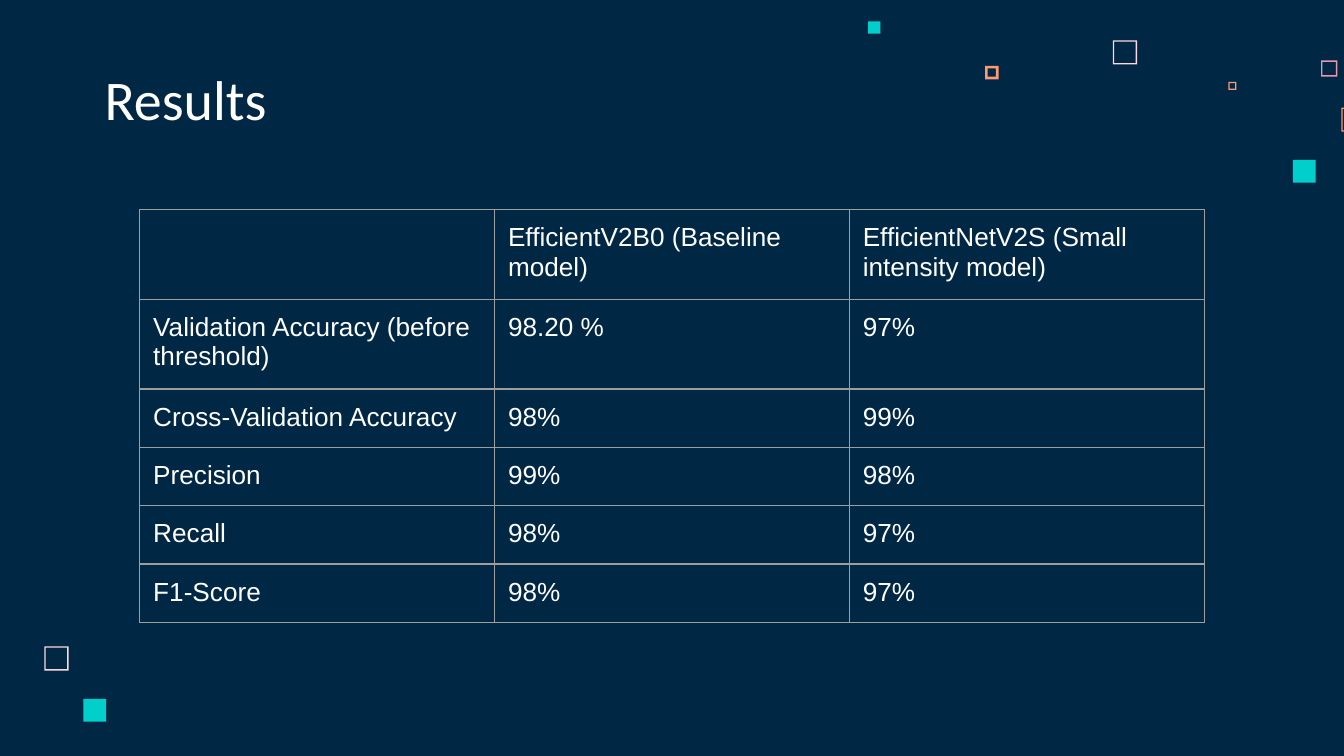
from lxml import etree
from pptx import Presentation
from pptx import util as u
from pptx.dml.color import RGBColor
from pptx.enum import shapes, text
from pptx.oxml import ns

COLORS = {
    "background": "002845",
    "white": "FFFFFF",
    "border": "9E9E9E",
    "pink": "FFD6E1",
    "rose": "E898AC",
    "orange": "FF9973",
    "teal": "00CFCC",
}


def color(name):
    return RGBColor.from_string(COLORS[name])


def write(text_frame, content, font_name, size):
    """Put one white run into a frame with equal insets."""
    for side in ("left", "right", "top", "bottom"):
        setattr(text_frame, f"margin_{side}", u.Inches(0.1))
    run = text_frame.paragraphs[0].add_run()
    run.text = content
    font_format = {"name": font_name, "size": u.Pt(size)}
    for attribute, value in font_format.items():
        setattr(run.font, attribute, value)
    run.font.color.rgb = color("white")


presentation = Presentation()
presentation.slide_width = u.Inches(10)
presentation.slide_height = u.Inches(5.625)
slide = presentation.slides.add_slide(presentation.slide_layouts[6])
slide.background.fill.solid()
slide.background.fill.fore_color.rgb = color("background")

# Decorative squares: left, top, side, frame thickness (0 means solid), colour
squares = [
    (8.28, 0.3, 0.18, 0.01, "pink"),
    (9.83, 0.45, 0.12, 0.01, "rose"),
    (9.14, 0.61, 0.06, 0.01, "orange"),
    (9.98, 0.8, 0.18, 0.01, "orange"),
    (9.62, 1.19, 0.17, 0, "teal"),
    (7.33, 0.49, 0.1, 0.02, "orange"),
    (6.46, 0.16, 0.09, 0, "teal"),
    (0.33, 4.81, 0.18, 0.01, "pink"),
    (0.62, 5.2, 0.17, 0, "teal"),
]
for left, top, side, thickness, name in squares:
    preset = shapes.MSO_SHAPE.FRAME if thickness else shapes.MSO_SHAPE.RECTANGLE
    square = slide.shapes.add_shape(
        preset, u.Inches(left), u.Inches(top), u.Inches(side), u.Inches(side)
    )
    if thickness:
        square.adjustments[0] = thickness / side
    square.shadow.inherit = False
    square.fill.solid()
    square.fill.fore_color.rgb = color(name)
    square.line.fill.background()

title = slide.shapes.add_textbox(
    u.Inches(0.68), u.Inches(0.45), u.Inches(5.17), u.Inches(0.63)
)
title.text_frame.word_wrap = True
title.text_frame.vertical_anchor = text.MSO_ANCHOR.BOTTOM
write(title.text_frame, "Results", "Calibri", 30)

results = [
    ("", "EfficientV2B0 (Baseline model)", "EfficientNetV2S (Small intensity model)"),
    ("Validation Accuracy (before threshold)", "98.20 %", "97%"),
    ("Cross-Validation Accuracy", "98%", "99%"),
    ("Precision", "99%", "98%"),
    ("Recall", "98%", "97%"),
    ("F1-Score", "98%", "97%"),
]
column_count = len(results[0])
table = slide.shapes.add_table(
    len(results), column_count,
    u.Inches(1.04), u.Inches(1.56),
    u.Inches(2.64 * column_count), u.Inches(0.42 * len(results)),
).table
table.first_row = False
table.horz_banding = False

for row_index, row in enumerate(results):
    for column_index, content in enumerate(row):
        cell = table.cell(row_index, column_index)
        for side in ("left", "right", "top", "bottom"):
            setattr(cell, f"margin_{side}", u.Inches(0.1))
        if content:
            write(cell.text_frame, content, "Arial", 14)
        cell.fill.background()
        properties = cell._tc.get_or_add_tcPr()
        for position, edge in enumerate(("lnL", "lnR", "lnT", "lnB")):
            border = etree.Element(ns.qn(f"a:{edge}"), w=str(u.Pt(0.75)))
            fill = etree.SubElement(border, ns.qn("a:solidFill"))
            etree.SubElement(fill, ns.qn("a:srgbClr"), val=COLORS["border"])
            properties.insert(position, border)

presentation.save("out.pptx")
